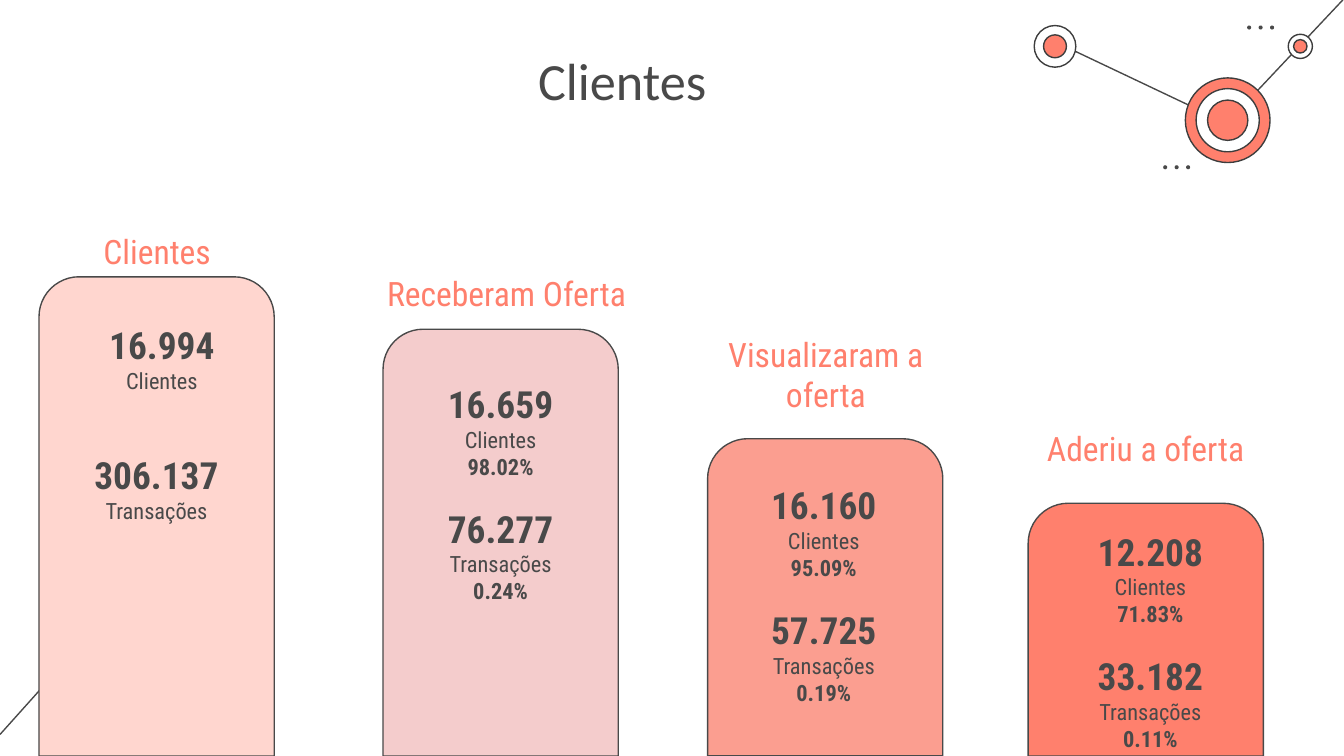
import pptx
import pptx.util
import pptx.dml.color
import pptx.enum.shapes
import pptx.enum.text
import pptx.oxml.ns
from lxml import etree

RGBColor = pptx.dml.color.RGBColor
SHAPE = pptx.enum.shapes.MSO_SHAPE
Pt = pptx.util.Pt

INK = RGBColor(0x49, 0x49, 0x49)
RING = RGBColor(0x3D, 0x3D, 0x3D)
CORAL = RGBColor(0xFF, 0x80, 0x6D)
SALMON = RGBColor(0xFB, 0x9E, 0x90)
ROSE = RGBColor(0xF4, 0xCC, 0xCC)
BLUSH = RGBColor(0xFF, 0xD6, 0xCF)
WHITE = RGBColor(0xFF, 0xFF, 0xFF)

HEADING = "Calibri"
BODY = "Roboto Condensed"
SLIDE_W, SLIDE_H = 2000, 1125
BAR_W = 350
STAT_W = 408


def px(n):
    """Lengths are in px, 200 to the inch."""
    return pptx.util.Emu(n * 4572)


def add_line(s, x1, y1, x2, y2):
    line = s.shapes.add_connector(
        pptx.enum.shapes.MSO_CONNECTOR.STRAIGHT, px(x1), px(y1), px(x2), px(y2))
    line.line.color.rgb = INK
    line.line.width = Pt(0.75)
    etree.SubElement(line._element.spPr, pptx.oxml.ns.qn("a:effectLst"))


def add_filled(s, kind, x, y, w, h, fill, outline=None):
    sp = s.shapes.add_shape(kind, px(x), px(y), px(w), px(h))
    sp.shadow.inherit = False
    sp.fill.solid()
    sp.fill.fore_color.rgb = fill
    if outline is None:
        sp.line.fill.background()
    else:
        sp.line.color.rgb = outline
        sp.line.width = Pt(0.75)
    return sp


def add_text(s, x, y, w, h, lines, font, color):
    """Each line is (text, size, bold, space before)."""
    tf = s.shapes.add_textbox(px(x), px(y), px(w), px(h)).text_frame
    tf.word_wrap = True
    tf.margin_left = tf.margin_right = tf.margin_top = tf.margin_bottom = px(20)
    tf.text = "\n".join(line[0] for line in lines)
    for p, (_, size, bold, before) in zip(tf.paragraphs, lines):
        p.alignment = pptx.enum.text.PP_ALIGN.CENTER
        if before:
            p.space_before = Pt(before)
        r = p.runs[0]
        r.font.name = font
        r.font.size = Pt(size)
        r.font.bold = bold
        r.font.color.rgb = color


def add_target(s, cx, cy, rings):
    """Concentric circles, from the outermost (diameter, fill) inwards."""
    for d, fill in rings:
        add_filled(s, SHAPE.OVAL, cx - d // 2, cy - d // 2, d, d, fill, RING)


def add_dots(s, x, y):
    for i in range(3):
        add_filled(s, SHAPE.OVAL, x + 17 * i, y, 6, 6, INK)


def add_network(s, x, y):
    """Decoration of linked targets in the top right corner."""
    add_line(s, x + 289, y + 146, x + 36, y + 26)
    add_line(s, x + 462, y - 40, x + 289, y + 144)
    add_target(s, x + 289, y + 141, [(126, CORAL), (94, WHITE), (60, CORAL)])
    add_target(s, x + 32, y + 31, [(62, WHITE), (34, CORAL)])
    add_target(s, x + 397, y + 31, [(36, WHITE), (20, CORAL)])
    add_dots(s, x + 318, y)
    add_dots(s, x + 193, y + 208)


def add_column(s, x, y, fill, label, stats):
    """Bar from (x, y) to the slide's foot, its label above and figures inside."""
    bar = add_filled(s, SHAPE.ROUND_2_SAME_RECTANGLE, x, y, BAR_W,
                     SLIDE_H - y, fill, INK)
    bar.adjustments[0] = 0.17
    text, dx, dy, w = label
    add_text(s, x + dx, y + dy, w, 88, [(text, 18, False, 0)], BODY, CORAL)
    for dx, dy, h, groups in stats:
        lines = []
        for figure, unit, *share in groups:
            lines.append((figure, 20, True, 14 if lines else 0))
            lines.append((unit, 12, False, 0))
            lines += [(value, 12, True, 0) for value in share]
        add_text(s, x + dx, y + dy, STAT_W, h, lines, BODY, INK)


def main():
    prs = pptx.Presentation()
    prs.slide_width, prs.slide_height = px(SLIDE_W), px(SLIDE_H)
    s = prs.slides.add_slide(prs.slide_layouts[6])

    # Background decoration
    add_line(s, 0, 1093, 130, 948)
    add_network(s, 1538, 38)

    # Title
    add_text(s, 409, 52, 1034, 126, [("Clientes", 28, False, 0)], HEADING, INK)

    # Funnel columns: x, y, fill, label (text, dx, dy, w), stats (dx, dy, h, groups)
    columns = [
        (58, 412, BLUSH, ("Clientes", -28, -88, 408),
         [(-21, 47, 158, [("16.994", "Clientes")]),
          (-29, 241, 158, [("306.137", "Transações")])]),
        (570, 490, ROSE, ("Receberam Oferta", -20, -104, 408),
         [(-29, 57, 376, [("16.659", "Clientes", "98.02%"),
                          ("76.277", "Transações", "0.24%")])]),
        (1053, 653, SALMON, ("Visualizaram a oferta", -28, -176, 408),
         [(-31, 45, 286, [("16.160", "Clientes", "95.09%"),
                          ("57.725", "Transações", "0.19%")])]),
        (1530, 749, CORAL, ("Aderiu a oferta", -48, -132, 446),
         [(-22, 18, 312, [("12.208", "Clientes", "71.83%"),
                          ("33.182", "Transações", "0.11%")])]),
    ]
    for column in columns:
        add_column(s, *column)

    prs.save("out.pptx")


if __name__ == "__main__":
    main()
